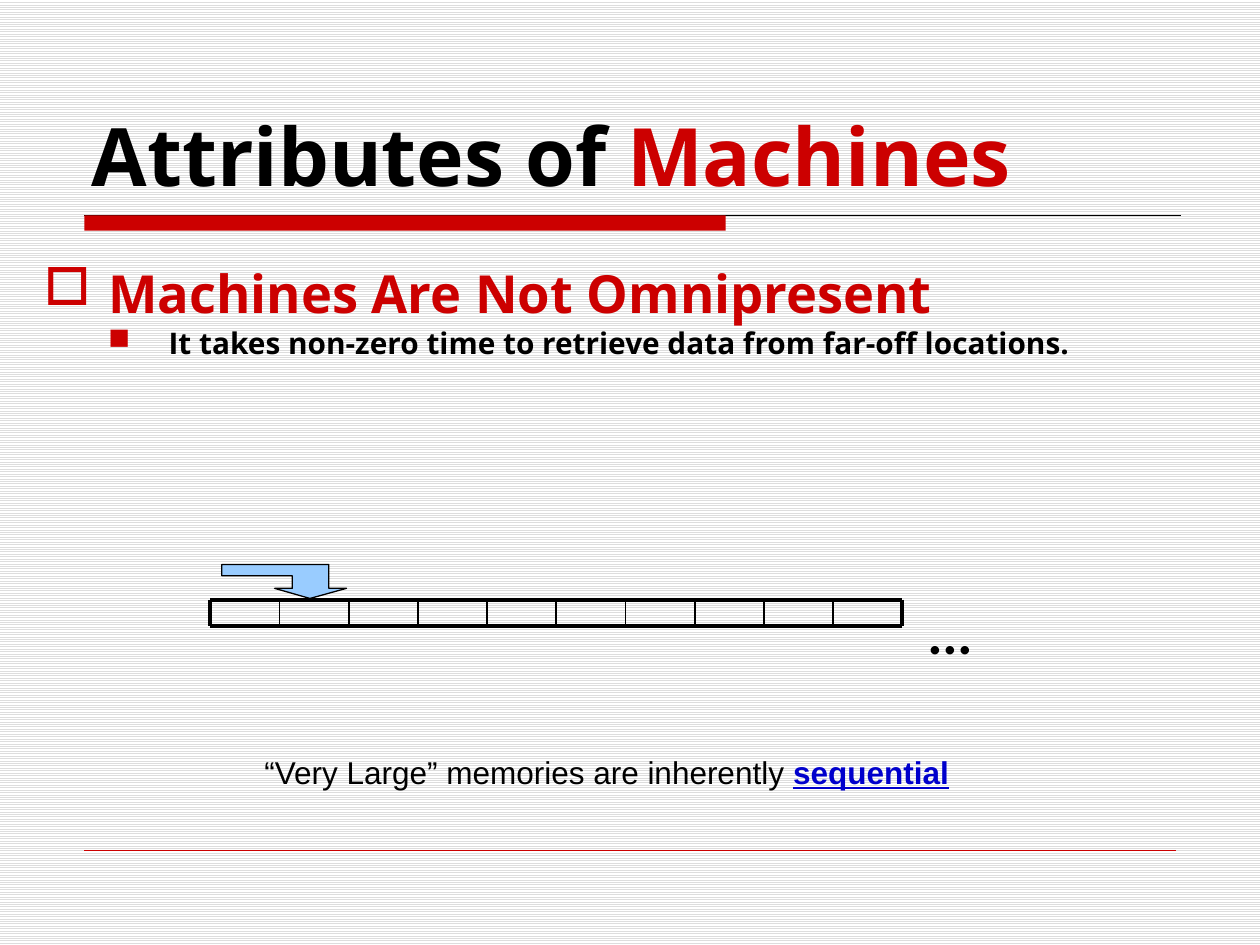
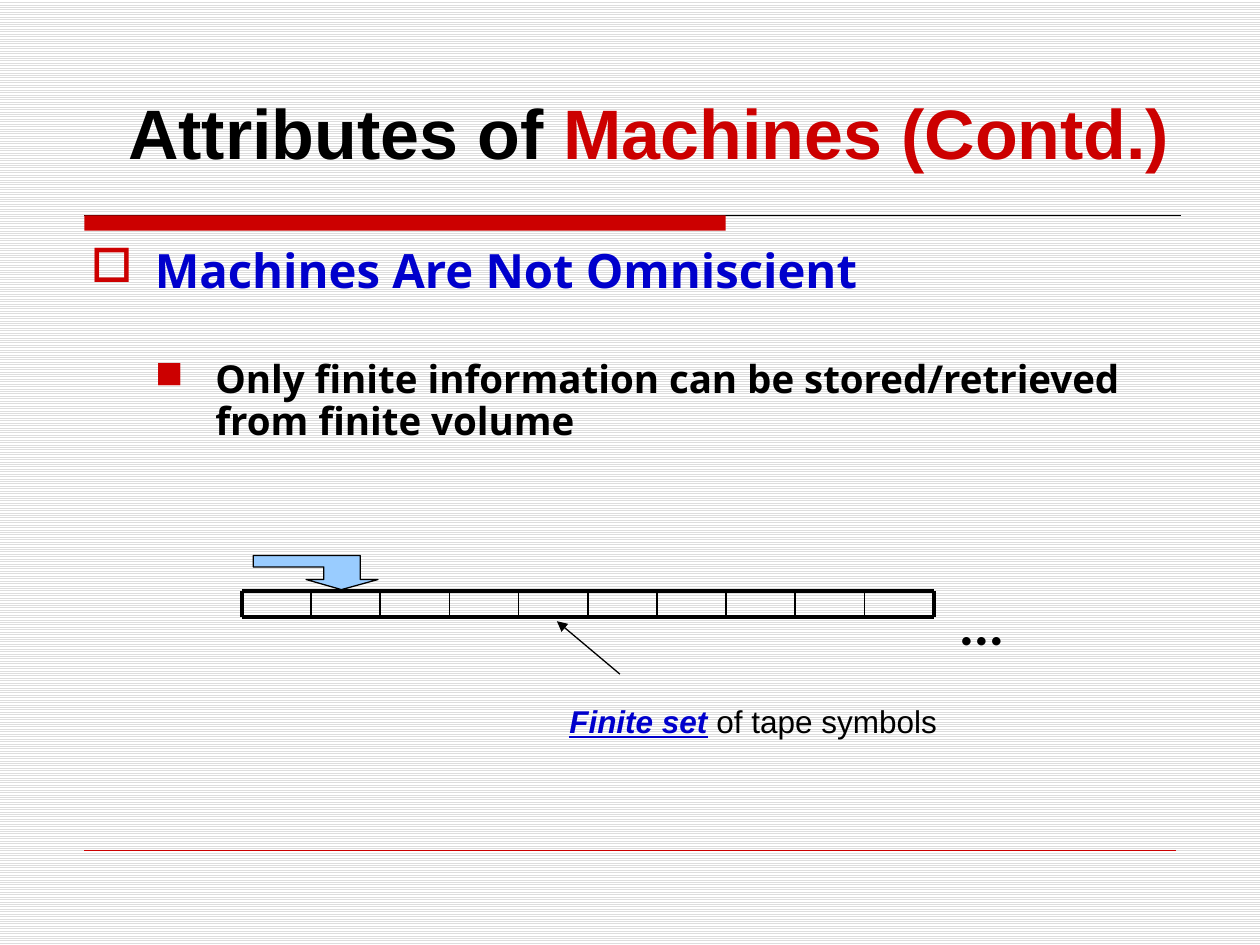
from lxml import etree
from pptx import Presentation
from pptx import util as u
from pptx.dml.color import RGBColor
from pptx.enum import dml, shapes, text
from pptx.oxml import ns

RED, BLUE, BLACK, SKY = "CC0000", "0000CC", "000000", "99CCFF"
STRIPE, WHITE = "DDDDDD", "FFFFFF"
BOLD = {"bold": True}
BOLD_LINK = {"bold": True, "underline": True}

# A run is (words, colour, format); a box is (left, top, width, height).
SLIDES = [
    {
        "title": {"box": (0.63, 0.33, 8.75, 1.33), "font": "Open Sans", "size": 46,
                  "wrap": True, "anchor": text.MSO_ANCHOR.BOTTOM,
                  "runs": [("Attributes of ", BLACK, BOLD), ("Machines", RED, BOLD)]},
        "points_box": (0.25, 2.08, 9, 1.08),
        "points": [
            {"words": "Machines Are Not Omnipresent", "level": 0, "size": 30,
             "colour": RED, "before": 3},
            {"words": "It takes non-zero time to retrieve data from far-off locations.",
             "level": 1, "size": 17, "colour": BLACK, "before": 2},
        ],
        "tape": (1.67, 4.76),
        "caption": {"box": (2, 5.93, 5.65, 0.4), "font": "Arial", "size": 18,
                    "runs": [("“Very Large” memories are inherently ", BLACK, {}),
                             ("sequential", BLUE, BOLD_LINK)]},
    },
    {
        "title": {"box": (0.92, 0.66, 8.47, 0.77), "font": "Arial", "size": 40,
                  "runs": [("Attributes of ", BLACK, BOLD),
                           ("Machines (Contd.)", RED, BOLD)]},
        "points_box": (0.62, 1.92, 8.75, 4.67),
        "points": [
            {"words": "Machines Are Not Omniscient", "level": 0, "size": 27,
             "colour": BLUE, "before": 2},
            {"words": "Only finite information can be stored/retrieved from finite volume",
             "level": 1, "size": 22, "colour": BLACK, "before": 35},
        ],
        "tape": (1.92, 4.69),
        "caption": {"box": (4.42, 5.52, 3.12, 0.4), "font": "Arial", "size": 18,
                    "runs": [("Finite set", BLUE, {**BOLD_LINK, "italic": True}),
                             (" of tape symbols", BLACK, {})]},
        "pointer": ((4.92, 5.35), (4.42, 4.93)),
    },
]

# Bullet sign, text indent and hanging indent of each level
LEVELS = [("□", 0.51, -0.51), ("■", 0.99, -0.48)]

CELLS, TAPE_WIDTH, TAPE_HEIGHT = 10, 5.49, 0.21
# Reading head, measured from the top left corner of the tape
HEAD_OUTLINE = [(0.79, -0.01), (0.51, -0.09), (0.65, -0.09), (0.65, -0.19), (0.09, -0.19),
                (0.09, -0.28), (0.94, -0.28), (0.94, -0.09), (1.08, -0.09)]


def rgb(colour):
    """Turn a hex string into a colour."""
    return RGBColor.from_string(colour)


def inches(values):
    """Turn numbers into lengths."""
    return [u.Inches(value) for value in values]


def add_line(slide, start, end, colour, width, arrow=False):
    """Draw a straight line, with an arrowhead at its end if asked."""
    line = slide.shapes.add_connector(shapes.MSO_CONNECTOR.STRAIGHT, *inches(start + end))
    line.line.color.rgb = rgb(colour)
    line.line.width = u.Pt(width)
    if arrow:
        outline = line.line._get_or_add_ln()
        etree.SubElement(outline, ns.qn("a:tailEnd"), type="triangle")
    etree.SubElement(line._element.spPr, ns.qn("a:effectLst"))


def add_run(paragraph, words, font, size, colour, style):
    """Add a formatted run to a paragraph."""
    run = paragraph.add_run()
    run.text = words
    run.font.color.rgb = rgb(colour)
    for name, value in {"name": font, "size": u.Pt(size), **style}.items():
        setattr(run.font, name, value)


def add_frame(slide, box, wrap, anchor=text.MSO_ANCHOR.TOP):
    """Add a text box and return its frame."""
    frame = slide.shapes.add_textbox(*inches(box)).text_frame
    frame.word_wrap = wrap
    frame.vertical_anchor = anchor
    return frame


def add_label(slide, box, font, size, runs, wrap=False, anchor=text.MSO_ANCHOR.TOP):
    """Add a text box of one paragraph."""
    paragraph = add_frame(slide, box, wrap, anchor).paragraphs[0]
    for words, colour, style in runs:
        add_run(paragraph, words, font, size, colour, style)


def add_bullet(paragraph, level):
    """Give a paragraph the red bullet and indents of its level."""
    sign, indent, hanging = LEVELS[level]
    paragraph.level = level
    props = paragraph._p.get_or_add_pPr()
    props.set("marL", str(u.Inches(indent)))
    props.set("indent", str(u.Inches(hanging)))
    bullet_colour = etree.SubElement(props, ns.qn("a:buClr"))
    etree.SubElement(bullet_colour, ns.qn("a:srgbClr"), val=RED)
    etree.SubElement(props, ns.qn("a:buChar"), char=sign)


def add_points(slide, box, points):
    """Add the bulleted statements."""
    frame = add_frame(slide, box, True)
    for number, point in enumerate(points):
        paragraph = frame.add_paragraph() if number else frame.paragraphs[0]
        paragraph.line_spacing = 0.9
        paragraph.space_before = u.Pt(point["before"])
        add_bullet(paragraph, point["level"])
        add_run(paragraph, point["words"], "Open Sans", point["size"], point["colour"], BOLD)


def add_tape(slide, left, top):
    """Draw the tape of cells, its continuation dots and the reading head."""
    right, bottom = left + TAPE_WIDTH, top + TAPE_HEIGHT
    for y in (top, bottom):
        add_line(slide, (left, y), (right, y), BLACK, 2.25)
    for edge in range(CELLS + 1):
        x = left + edge * TAPE_WIDTH / CELLS
        add_line(slide, (x, top), (x, bottom), BLACK, 2.25 if edge in (0, CELLS) else 1)
    add_label(slide, (right + 0.11, top - 0.06, 0.64, 0.63), "Lato", 32, [("…", BLACK, BOLD)])

    tip, *others = [inches((left + x, top + y)) for x, y in HEAD_OUTLINE]
    builder = slide.shapes.build_freeform(*tip)
    builder.add_line_segments(others, close=True)
    head = builder.convert_to_shape()
    head.shadow.inherit = False
    head.fill.solid()
    head.fill.fore_color.rgb = rgb(SKY)
    head.line.color.rgb = rgb(BLACK)
    head.line.width = u.Pt(0.75)


def add_theme(slide):
    """Draw the striped background, the title rule and the footer rule."""
    fill = slide.background.fill
    fill.patterned()
    fill.pattern = dml.MSO_PATTERN.LIGHT_HORIZONTAL
    fill.fore_color.rgb = rgb(STRIPE)
    fill.back_color.rgb = rgb(WHITE)
    add_line(slide, (0.67, 1.71), (9.37, 1.71), BLACK, 0.75)
    band = slide.shapes.add_shape(shapes.MSO_SHAPE.RECTANGLE, *inches((0.67, 1.71, 5.09, 0.12)))
    band.shadow.inherit = False
    band.fill.solid()
    band.fill.fore_color.rgb = rgb(RED)
    band.line.fill.background()
    add_line(slide, (0.67, 6.75), (9.33, 6.75), RED, 0.25)


def main():
    """Build and save the presentation."""
    deck = Presentation()
    deck.slide_width, deck.slide_height = inches((10, 7.5))
    for content in SLIDES:
        slide = deck.slides.add_slide(deck.slide_layouts[6])
        add_theme(slide)
        add_label(slide, **content["title"])
        add_points(slide, content["points_box"], content["points"])
        add_tape(slide, *content["tape"])
        add_label(slide, **content["caption"])
        if "pointer" in content:
            add_line(slide, *content["pointer"], BLACK, 0.75, arrow=True)
    deck.save("out.pptx")


main()
